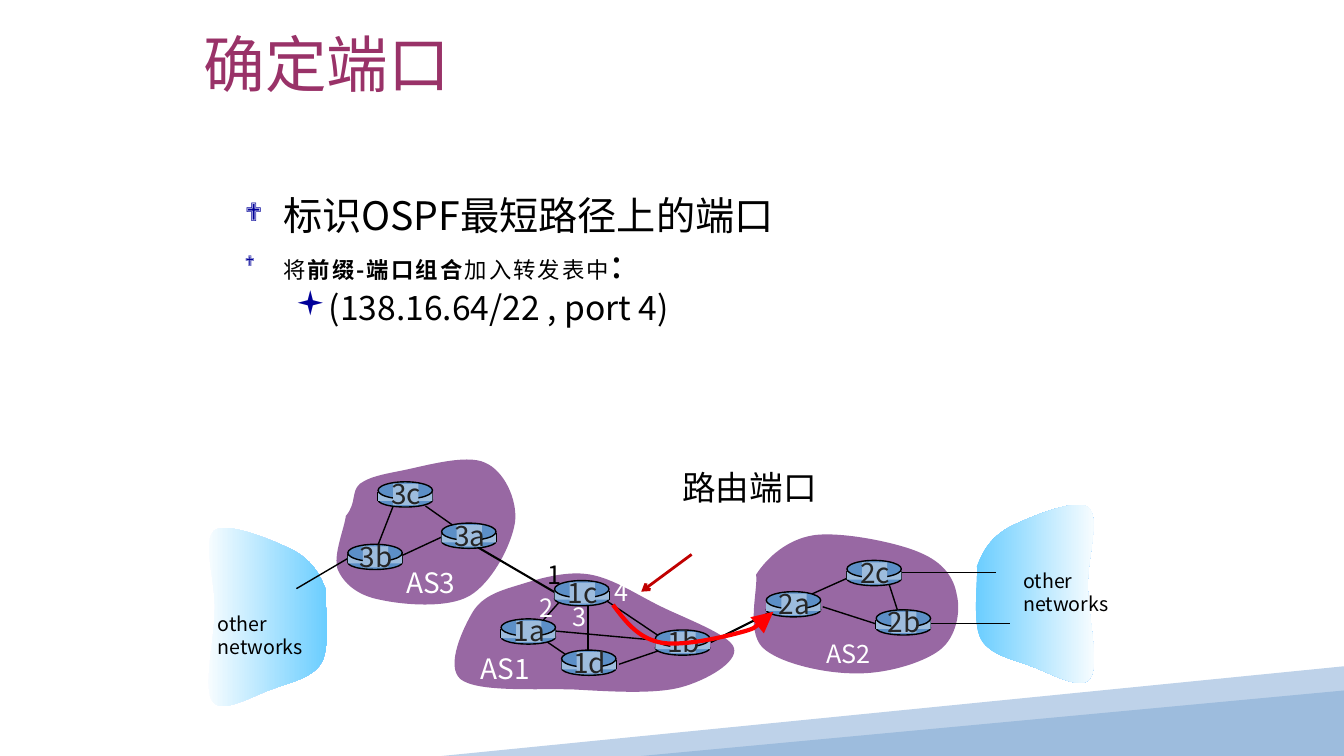
import pptx
import pptx.util
import pptx.dml.color
import pptx.enum.shapes
import pptx.enum.text
import pptx.oxml.ns
from lxml import etree

# Content; positions in inches
SLIDE_W, SLIDE_H = 13.33, 7.5
FONT = "Noto Sans CJK SC"
COLORS = dict(title="993268", ink="000000", white="FFFFFF", label="262626", bullet="000099",
              cloud="9868A3", sky="66CCFF", router="5C8FC7", side="9DBCDD", band="BED2E9",
              route="FF0000", pointer="C00000")

TITLE = "确定端口"
# Each bullet: mark, size share, left margin, hanging indent, space before, runs of (text, format)
BULLETS = [
    ("❖", 65, 0.38, 0.38, 0, [("标识OSPF最短路径上的端口", dict(size=28))]),
    ("❖", 65, 0.38, 0.38, 5.6, [("将", dict(size=16, spacing=1.5)),
                                ("前缀-端口组合", dict(size=16, spacing=1.5, bold=True)),
                                ("加入转发表中", dict(size=16, spacing=1.5)),
                                (":", dict(size=28))]),
    ("▪", 100, 0.81, 0.31, 4.8, [("(138.16.64/22 , port 4)", dict(size=24))]),
]

# Outlines: a start point, then Bézier segments (two controls and an end)
NETWORK = ((9.69, 5.62), [
    (9.75, 5.46, 9.83, 5.33, 10.01, 5.23), (10.19, 5.14, 10.66, 4.94, 10.79, 5.03),
    (10.92, 5.13, 10.78, 5.54, 10.79, 5.82), (10.79, 6.1, 10.91, 6.6, 10.81, 6.73),
    (10.72, 6.86, 10.41, 6.67, 10.23, 6.61), (10.05, 6.54, 9.82, 6.5, 9.73, 6.34),
    (9.64, 6.18, 9.7, 5.77, 9.69, 5.62)])
MIRROR_SUM, MIRROR_DROP = 12.92, 0.23
CLOUDS = {
    "AS2": ((7.5, 5.7), [
        (7.61, 5.53, 7.81, 5.35, 8.07, 5.31), (8.34, 5.27, 8.89, 5.38, 9.12, 5.48),
        (9.36, 5.58, 9.46, 5.73, 9.49, 5.9), (9.53, 6.06, 9.49, 6.32, 9.32, 6.45),
        (9.15, 6.58, 8.77, 6.69, 8.47, 6.68), (8.18, 6.68, 7.72, 6.58, 7.56, 6.42),
        (7.4, 6.25, 7.52, 5.85, 7.5, 5.7)]),
    "AS3": ((3.43, 5.12), [
        (3.54, 4.99, 3.48, 4.88, 3.57, 4.8), (3.67, 4.73, 3.78, 4.71, 3.98, 4.67),
        (4.19, 4.63, 4.62, 4.5, 4.81, 4.59), (5, 4.67, 5.13, 4.95, 5.11, 5.17),
        (5.08, 5.4, 4.88, 5.78, 4.66, 5.91), (4.44, 6.04, 3.99, 6, 3.77, 5.95),
        (3.55, 5.91, 3.41, 5.79, 3.35, 5.65), (3.3, 5.51, 3.42, 5.23, 3.43, 5.12)]),
    "AS1": ((4.69, 6.07), [
        (4.79, 5.91, 4.96, 5.86, 5.16, 5.8), (5.35, 5.74, 5.62, 5.66, 5.85, 5.7),
        (6.08, 5.74, 6.3, 5.89, 6.54, 6.01), (6.78, 6.13, 7.25, 6.3, 7.28, 6.43),
        (7.32, 6.57, 7.01, 6.75, 6.75, 6.82), (6.48, 6.89, 6.04, 6.86, 5.68, 6.84),
        (5.32, 6.83, 4.74, 6.87, 4.57, 6.74), (4.41, 6.61, 4.6, 6.22, 4.69, 6.07)]),
}
ROUTE = ((6.08, 6), [(6.2, 6.16, 6.32, 6.32, 6.53, 6.37), (6.73, 6.42, 7.13, 6.33, 7.32, 6.28),
                     (7.51, 6.23, 7.59, 6.15, 7.67, 6.07)])

ROUTERS = {"3b": (3.45, 5.4), "3c": (3.75, 4.78), "3a": (4.38, 5.19), "1c": (5.5, 5.76),
           "1a": (4.97, 6.14), "1d": (5.57, 6.45), "1b": (6.5, 6.25), "2a": (7.6, 5.87),
           "2c": (8.4, 5.56), "2b": (8.69, 6.05)}
# Links by line width
LINKS = {
    1: [(3.99, 5.51, 4.42, 5.31), (7.97, 5.93, 8.44, 5.72), (4.49, 5.21, 4.22, 5.02),
        (3.9, 5.02, 3.74, 5.43), (5.55, 5.97, 5.39, 6.15), (5.83, 6.01, 5.83, 6.5),
        (6, 5.95, 6.55, 6.32), (6.55, 6.45, 6.14, 6.59), (6.49, 6.35, 5.5, 6.26),
        (5.4, 6.35, 5.62, 6.5), (8.16, 6.02, 8.69, 6.19), (8.82, 5.8, 8.9, 6.05),
        (3.45, 5.54, 2.94, 5.84)],
    0.75: [(8.94, 5.68, 9.88, 5.68), (9.22, 6.19, 10.02, 6.19)],
    1.5: [(7.05, 6.37, 7.63, 6.08), (4.74, 5.43, 5.51, 5.88)],
}
POINTER = (6.86, 5.5, 6.36, 5.87)
# Labels: text, box, size, colour
LABELS = [
    ("AS3", (3.93, 5.56, 0.75, 0.44), 20, "white"),
    ("AS2", (8.1, 6.28, 0.7, 0.4), 18, "white"),
    ("AS1", (4.67, 6.41, 0.75, 0.44), 20, "white"),
    ("other\nnetworks", (10.05, 5.59, 1.05, 0.57), 14, "ink"),
    ("other\nnetworks", (2.06, 6.02, 1.05, 0.57), 14, "ink"),
    ("路由端口", (6.67, 4.58, 1.53, 0.5), 24, "ink"),
    ("1", (5.33, 5.5, 0.36, 0.4), 18, "ink"),
    ("2", (5.25, 5.83, 0.33, 0.4), 18, "white"),
    ("3", (5.58, 5.92, 0.36, 0.4), 18, "white"),
    ("4", (6, 5.67, 0.36, 0.4), 18, "white"),
]

inch, Pt = pptx.util.Inches, pptx.util.Pt
PRESET = pptx.enum.shapes.MSO_SHAPE
ALIGN = pptx.enum.text.PP_ALIGN
qn = pptx.oxml.ns.qn

deck = pptx.Presentation()
deck.slide_width, deck.slide_height = inch(SLIDE_W), inch(SLIDE_H)
slide = deck.slides.add_slide(deck.slide_layouts[5])
shapes = slide.shapes


def rgb(name):
    return pptx.dml.color.RGBColor.from_string(COLORS[name])


def write(paragraph, text, size=18, color="ink", bold=False, spacing=0):
    run = paragraph.add_run()
    run.text = text
    font = run.font
    font.size, font.bold, font.name = Pt(size), bold, FONT
    font.color.rgb = rgb(color)
    props = run._r.get_or_add_rPr()
    etree.SubElement(props, qn("a:ea")).set("typeface", FONT)
    if spacing:
        props.set("spc", str(int(spacing * 100)))


def label(text, box, align=ALIGN.LEFT, **style):
    frame = shapes.add_textbox(*map(inch, box)).text_frame
    frame.word_wrap = False
    for i, row in enumerate(text.split("\n")):
        paragraph = frame.add_paragraph() if i else frame.paragraphs[0]
        paragraph.alignment = align
        write(paragraph, row, **style)


def paint(shape, fill=None, line=None, width=1):
    shape.shadow.inherit = False
    if fill:
        shape.fill.solid()
        shape.fill.fore_color.rgb = rgb(fill)
    else:
        shape.fill.background()
    if line:
        shape.line.color.rgb, shape.line.width = rgb(line), Pt(width)
    else:
        shape.line.fill.background()
    return shape


def preset(kind, box, **style):
    return paint(shapes.add_shape(kind, *map(inch, box)), **style)


def arrowhead(shape, kind, size="med"):
    head = etree.SubElement(shape.line._get_or_add_ln(), qn("a:tailEnd"))
    for key, value in (("type", kind), ("w", size), ("len", size)):
        head.set(key, value)


def link(ends, width=1, color="ink"):
    line = shapes.add_connector(pptx.enum.shapes.MSO_CONNECTOR.STRAIGHT, *map(inch, ends))
    line.line.color.rgb, line.line.width = rgb(color), Pt(width)
    etree.SubElement(line._element.spPr, qn("a:effectLst"))
    return line


def outline(points, close=True, **style):
    corners = [(inch(x), inch(y)) for x, y in points]
    builder = shapes.build_freeform(*corners[0])
    builder.add_line_segments(corners[1:], close=close)
    return paint(builder.convert_to_shape(), **style)


def control_points(start, segments):
    return [start] + [seg[i:i + 2] for seg in segments for i in (0, 2, 4)]


def curve(points, close=True, **style):
    """Turn each three straight steps of an outline into one Bézier segment."""
    shape = outline(points, close, **style)
    steps = list(shape._element.iter(qn("a:lnTo")))
    for first, second, end in zip(steps[::3], steps[1::3], steps[2::3]):
        bend = etree.Element(qn("a:cubicBezTo"))
        first.addprevious(bend)
        for step in (first, second, end):
            bend.append(step[0])
            step.getparent().remove(step)
    return shape


def network(points, stops):
    area = curve(points)
    area.fill.gradient()
    area.fill.gradient_angle = 0
    for stop, color in zip(area.fill.gradient_stops, stops):
        stop.color.rgb = rgb(color)


def router(name, x, y):
    preset(PRESET.OVAL, (x, y + 0.11, 0.54, 0.14), fill="router", line="ink")
    for edge in (x, x + 0.54):
        link((edge, y + 0.1, edge, y + 0.19))
    preset(PRESET.RECTANGLE, (x, y + 0.1, 0.54, 0.09), fill="side")
    preset(PRESET.OVAL, (x, y, 0.54, 0.17), fill="router", line="ink")
    preset(PRESET.RECTANGLE, (x + 0.15, y + 0.02, 0.25, 0.21), fill="side")
    label(name, (x + 0.01, y - 0.1, 0.54, 0.44), ALIGN.CENTER, size=20, color="label")


# Corner bands
outline([(13.33, 6.61), (13.33, 7.44), (8.97, 7.5), (4.38, 7.5)], fill="band")
preset(PRESET.ISOSCELES_TRIANGLE, (6.36, 6.85, 6.97, 0.65), fill="side").adjustments[0] = 1

# Title
title = shapes.title
title.left, title.top, title.width, title.height = map(inch, (1.92, 0, 8.5, 1.25))
title.text_frame.vertical_anchor = pptx.enum.text.MSO_ANCHOR.MIDDLE
title.text_frame.paragraphs[0].alignment = ALIGN.LEFT
write(title.text_frame.paragraphs[0], TITLE, size=44, color="title")

# Bullets
body = shapes.add_textbox(*map(inch, (2.33, 1.92, 9.08, 2.25))).text_frame
body.word_wrap = True
for i, (mark, share, margin, hang, before, runs) in enumerate(BULLETS):
    paragraph = body.add_paragraph() if i else body.paragraphs[0]
    props = paragraph._p.get_or_add_pPr()
    props.set("marL", str(inch(margin)))
    props.set("indent", str(-inch(hang)))
    tint = etree.SubElement(props, qn("a:buClr"))
    etree.SubElement(tint, qn("a:srgbClr")).set("val", COLORS["bullet"])
    etree.SubElement(props, qn("a:buSzPct")).set("val", str(share * 1000))
    etree.SubElement(props, qn("a:buFont")).set("typeface", "Wingdings")
    etree.SubElement(props, qn("a:buChar")).set("char", mark)
    paragraph.line_spacing, paragraph.space_before = 0.85, Pt(before)
    for text, style in runs:
        write(paragraph, text, **style)

# Networks and autonomous systems
right_side = control_points(*NETWORK)
network(right_side, ("sky", "white"))
network([(MIRROR_SUM - x, y + MIRROR_DROP) for x, y in right_side], ("white", "sky"))
for cloud in CLOUDS.values():
    curve(control_points(*cloud), fill="cloud")

# Links, routers and labels
for width, group in LINKS.items():
    for ends in group:
        link(ends, width)
for name, (x, y) in ROUTERS.items():
    router(name, x, y)
for text, box, size, color in LABELS:
    label(text, box, size=size, color=color)

# Shortest route and port pointer
arrowhead(curve(control_points(*ROUTE), close=False, line="route", width=3), "triangle", "lg")
arrowhead(link(POINTER, 2, "pointer"), "arrow")

deck.save("out.pptx")
